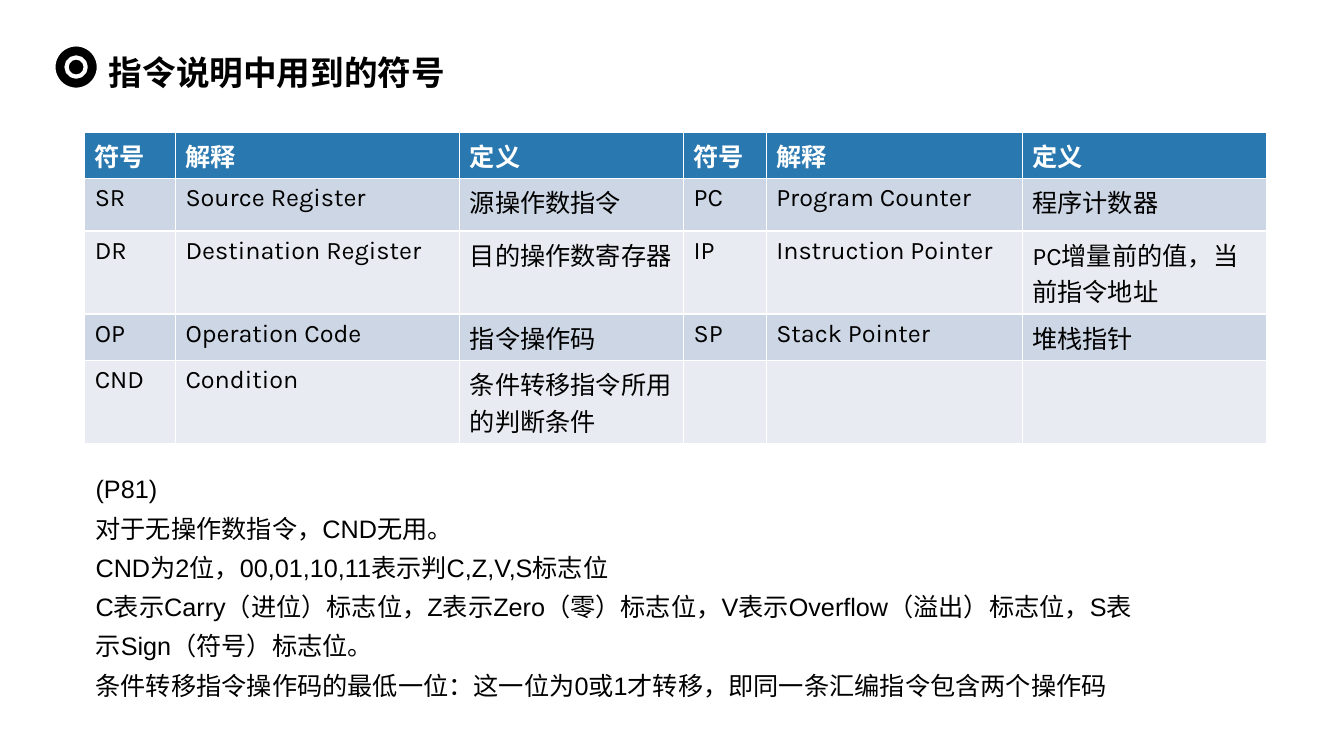
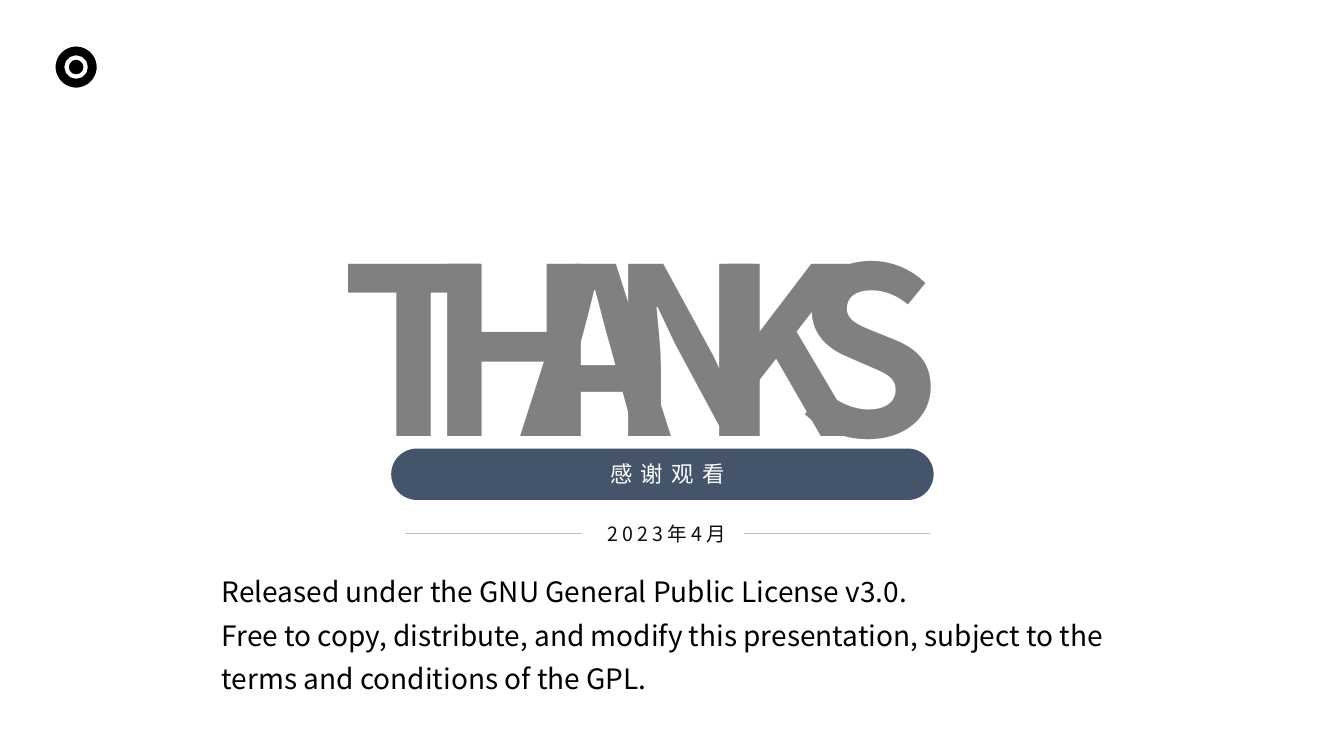
"""Build the instruction symbol table slide and the closing slide."""
from dataclasses import dataclass

from lxml.etree import SubElement
from pptx import Presentation
from pptx.dml.color import RGBColor as RGB
from pptx.enum.shapes import MSO_CONNECTOR, MSO_SHAPE
from pptx.enum.text import MSO_ANCHOR, MSO_AUTO_SIZE, PP_ALIGN
from pptx.oxml.ns import qn
from pptx.util import Inches, Pt


@dataclass(frozen=True)
class Theme:
    black: RGB = RGB(0x00, 0x00, 0x00)
    white: RGB = RGB(0xFF, 0xFF, 0xFF)
    date: RGB = RGB(0x0D, 0x0D, 0x0D)
    rule: RGB = RGB(0xBF, 0xBF, 0xBF)
    pill: RGB = RGB(0x44, 0x54, 0x6A)
    letter_start: RGB = RGB(0x80, 0x80, 0x80)
    letter_end: RGB = RGB(0x59, 0x59, 0x59)
    header: RGB = RGB(0x2A, 0x78, 0xB0)
    bands: tuple = (RGB(0xCD, 0xD6, 0xE4), RGB(0xE8, 0xEC, 0xF2))
    sans: str = "Noto Sans CJK SC"
    sans_alternate: str = "Noto Sans CJK JP"
    table_font: str = "Karla"
    note_font: str = "Arial"
    title_size: int = 24
    body_size: int = 18
    license_size: int = 20
    pill_size: int = 16
    date_size: int = 14
    letter_size: int = 166


theme = Theme()


def write(text_frame, text, size, color, latin=theme.sans, east_asian=theme.sans,
          bold=False, align=PP_ALIGN.LEFT, line_spacing=None, tracking=0):
    text_frame.word_wrap = True
    text_frame.text = text
    for paragraph in text_frame.paragraphs:
        paragraph.alignment = align
        paragraph.line_spacing = line_spacing
        for run in paragraph.runs:
            run.font.size, run.font.bold, run.font.name = Pt(size), bold, latin
            run.font.color.rgb = color
            properties = run.font._element
            SubElement(properties, qn("a:ea")).set("typeface", east_asian)
            if tracking:
                properties.set("spc", str(tracking * 100))


def add_plain_shape(shapes, kind, left, top, width, height, fill=None):
    shape = shapes.add_shape(kind, Inches(left), Inches(top), Inches(width), Inches(height))
    shape.shadow.inherit = False
    shape.line.fill.background()
    if fill is None:
        shape.fill.background()
    else:
        shape.fill.solid()
        shape.fill.fore_color.rgb = fill
    return shape


presentation = Presentation()
presentation.slide_width, presentation.slide_height = Inches(13.33), Inches(7.5)
symbol_slide = presentation.slides.add_slide(presentation.slide_layouts[5])
closing_slide = presentation.slides.add_slide(presentation.slide_layouts[6])

for slide in (symbol_slide, closing_slide):
    bullseye = slide.shapes.add_group_shape()
    for left, top, diameter in ((0.53, 0.44, 0.45), (0.66, 0.57, 0.19)):
        circle = add_plain_shape(bullseye.shapes, MSO_SHAPE.OVAL, left, top,
                                 diameter, diameter, theme.black)
        circle.line.color.rgb = theme.white
        circle.line.width = Pt(3)

title = symbol_slide.shapes.title
title.left, title.top = Inches(0.98), Inches(0.32)
title.width, title.height = Inches(12.07), Inches(0.7)
title.text_frame.vertical_anchor = MSO_ANCHOR.MIDDLE
title.text_frame.auto_size = MSO_AUTO_SIZE.NONE
write(title.text_frame, "指令说明中用到的符号", theme.title_size, theme.black,
      bold=True, line_spacing=1.2)

symbol_rows = [
    ("符号", "解释", "定义") * 2,
    ("SR", "Source Register", "源操作数指令", "PC", "Program Counter", "程序计数器"),
    ("DR", "Destination Register", "目的操作数寄存器",
     "IP", "Instruction Pointer", "PC增量前的值，当前指令地址"),
    ("OP", "Operation Code", "指令操作码", "SP", "Stack Pointer", "堆栈指针"),
    ("CND", "Condition", "条件转移指令所用的判断条件", "", "", ""),
]
column_widths = (0.9, 2.82, 2.22, 0.82, 2.54, 2.42)
row_heights = (0.42, 0.52, 0.73, 0.42, 0.73)
table = symbol_slide.shapes.add_table(
    len(row_heights), len(column_widths), Inches(0.84), Inches(1.31),
    Inches(sum(column_widths)), Inches(sum(row_heights))).table
for column, width in zip(table.columns, column_widths):
    column.width = Inches(width)
for row_index, (row, height, values) in enumerate(zip(table.rows, row_heights, symbol_rows)):
    row.height = Inches(height)
    is_header = row_index == 0
    for cell, value in zip(row.cells, values):
        cell.fill.solid()
        cell.fill.fore_color.rgb = theme.header if is_header else theme.bands[(row_index - 1) % 2]
        write(cell.text_frame, value, theme.body_size,
              theme.white if is_header else theme.black, theme.table_font, bold=is_header)

notes = "\n".join((
    "(P81)",
    "对于无操作数指令，CND无用。",
    "CND为2位，00,01,10,11表示判C,Z,V,S标志位",
    "C表示Carry（进位）标志位，Z表示Zero（零）标志位，V表示Overflow（溢出）标志位，S表示Sign（符号）标志位。",
    "条件转移指令操作码的最低一位：这一位为0或1才转移，即同一条汇编指令包含两个操作码",
))
license_text = "\n".join((
    "Released under the GNU General Public License v3.0.",
    "Free to copy, distribute, and modify this presentation, "
    "subject to the terms and conditions of the GPL.",
))
for slide, bounds, text, size, latin in (
    (symbol_slide, (0.85, 4.56, 10.6, 2.46), notes, theme.body_size, theme.note_font),
    (closing_slide, (2.1, 5.55, 9.27, 1.41), license_text, theme.license_size, theme.sans),
):
    text_box = slide.shapes.add_textbox(*map(Inches, bounds))
    text_box.text_frame.auto_size = MSO_AUTO_SIZE.SHAPE_TO_FIT_TEXT
    write(text_box.text_frame, text, size, theme.black, latin, line_spacing=1.3)

for index, letter in enumerate("THANKS"):
    letter_box = closing_slide.shapes.add_textbox(
        Inches(3.33 + 0.9 * index), Inches(2.02), Inches(1.56), Inches(2.89))
    text_frame = letter_box.text_frame
    text_frame.margin_left = text_frame.margin_right = 0
    text_frame.margin_top = text_frame.margin_bottom = 0
    text_frame.auto_size = MSO_AUTO_SIZE.SHAPE_TO_FIT_TEXT
    write(text_frame, letter, theme.letter_size, theme.letter_start,
          bold=True, align=PP_ALIGN.CENTER)
    fill = text_frame.paragraphs[0].runs[0].font.fill
    fill.gradient()
    fill.gradient_angle = 0
    gradient_colors = (theme.letter_start, theme.letter_end)
    for stop, position, color in zip(fill.gradient_stops, (0.16, 0.92), gradient_colors):
        stop.position = position
        stop.color.rgb = color
    end_color = list(text_frame._txBody.iter(qn("a:srgbClr")))[-1]
    SubElement(end_color, qn("a:alpha")).set("val", "0")

closing_group = closing_slide.shapes.add_group_shape()
for start, end in ((4.02, 5.77), (7.38, 9.22)):
    rule = closing_group.shapes.add_connector(
        MSO_CONNECTOR.STRAIGHT, Inches(start), Inches(5.29), Inches(end), Inches(5.29))
    rule.line.color.rgb = theme.rule
    rule.line.width = Pt(0.75)
    SubElement(rule._element.spPr, qn("a:effectLst"))

date_label = add_plain_shape(closing_group.shapes, MSO_SHAPE.ROUNDED_RECTANGLE,
                             4.93, 5.09, 3.37, 0.41)
date_label.adjustments[0] = 0.5
date_label.text_frame.vertical_anchor = MSO_ANCHOR.MIDDLE
write(date_label.text_frame, "2023年4月", theme.date_size, theme.date,
      east_asian=theme.sans_alternate, align=PP_ALIGN.CENTER, tracking=3)

pill = add_plain_shape(closing_group.shapes, MSO_SHAPE.ROUNDED_RECTANGLE,
                       3.88, 4.45, 5.38, 0.51, theme.pill)
pill.adjustments[0] = 0.5
pill_label = closing_group.shapes.add_textbox(
    Inches(4.14), Inches(4.52), Inches(4.96), Inches(0.37))
pill_label.text_frame.auto_size = MSO_AUTO_SIZE.SHAPE_TO_FIT_TEXT
write(pill_label.text_frame, "感谢观看", theme.pill_size, theme.white,
      theme.sans_alternate, theme.sans_alternate, align=PP_ALIGN.CENTER, tracking=6)

presentation.save("out.pptx")
